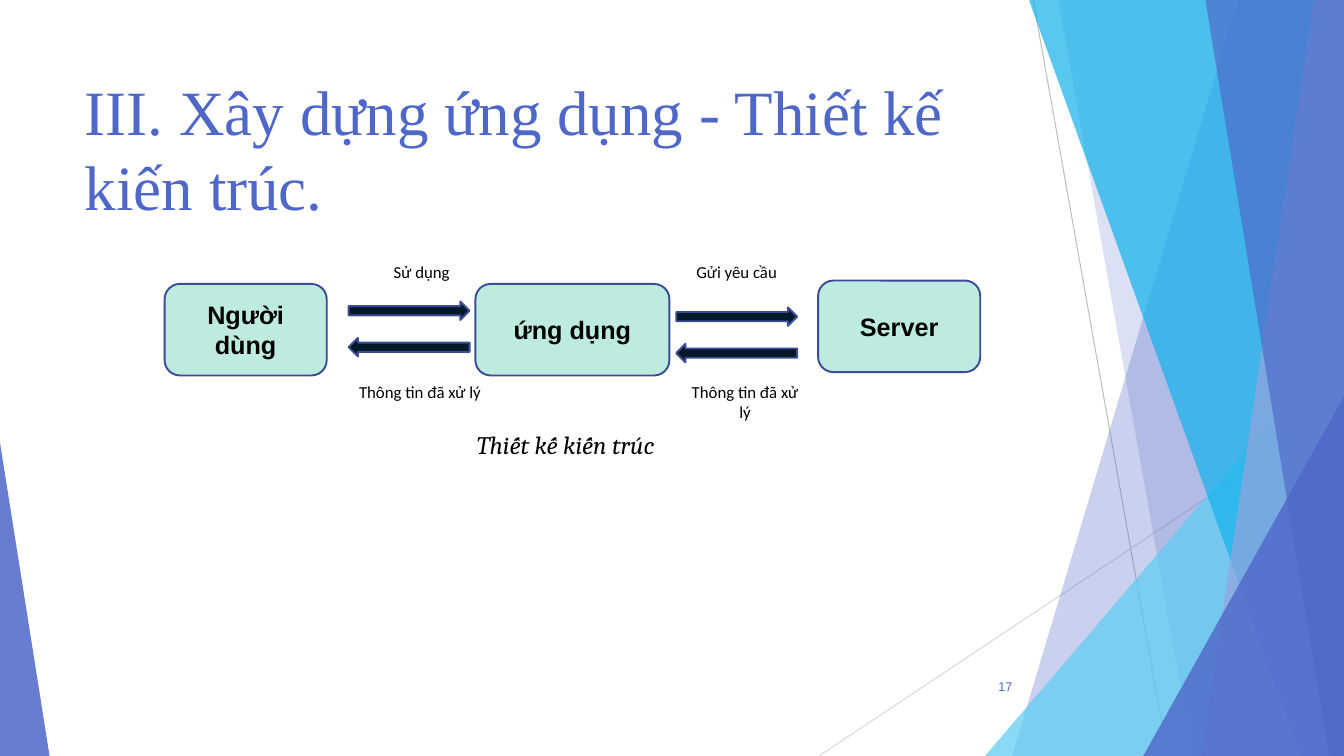
import pptx
import pptx.util
import pptx.dml.color
import pptx.enum.shapes
import pptx.enum.text
import pptx.oxml.ns
from lxml import etree

RGBColor = pptx.dml.color.RGBColor
Shape = pptx.enum.shapes.MSO_SHAPE
Align = pptx.enum.text.PP_ALIGN
Anchor = pptx.enum.text.MSO_ANCHOR

INDIGO = RGBColor(0x4E, 0x67, 0xC8)
LAVENDER = RGBColor(0x95, 0xA4, 0xDE)
SKY = RGBColor(0x5E, 0xCC, 0xF3)
CYAN = RGBColor(0x12, 0xB2, 0xEB)
MINT = RGBColor(0xBE, 0xEB, 0xDF)
NAVY = RGBColor(0x3A, 0x4C, 0x94)
MIDNIGHT = RGBColor(0x03, 0x18, 0x28)
BLACK = RGBColor(0, 0, 0)
GREY = RGBColor(0xBF, 0xBF, 0xBF)
LIGHT_GREY = RGBColor(0xD9, 0xD9, 0xD9)

COLUMNS, ROWS = 80, 45


class SlideBuilder:
    outline_width = 1.35

    def __init__(self, presentation):
        self.column = presentation.slide_width / COLUMNS
        self.row = presentation.slide_height / ROWS
        self.slide = presentation.slides.add_slide(presentation.slide_layouts[5])
        self.shapes = self.slide.shapes

    def place(self, left, top, width, height):
        return (round(left * self.column), round(top * self.row),
                round(width * self.column), round(height * self.row))

    def paint(self, shape, color, opacity=100, outline=None):
        shape.shadow.inherit = False
        shape.fill.solid()
        shape.fill.fore_color.rgb = color
        if opacity < 100:
            color_node = shape._element.spPr.find(
                pptx.oxml.ns.qn("a:solidFill") + "/" + pptx.oxml.ns.qn("a:srgbClr"))
            alpha = etree.SubElement(color_node, pptx.oxml.ns.qn("a:alpha"))
            alpha.set("val", str(opacity * 1000))
        if outline is None:
            shape.line.fill.background()
        else:
            shape.line.color.rgb = outline
            shape.line.width = pptx.util.Pt(self.outline_width)

    def fill_text(self, shape, text, size, font, color=BLACK, align=Align.CENTER,
                  anchor=Anchor.TOP, bold=False, italic=False, wrap=True):
        frame = shape.text_frame
        frame.word_wrap = wrap
        frame.vertical_anchor = anchor
        paragraph = frame.paragraphs[0]
        paragraph.alignment = align
        run = paragraph.add_run()
        run.text = text
        run.font.size = pptx.util.Pt(size)
        run.font.name = font
        run.font.color.rgb = color
        run.font.bold = bold
        run.font.italic = italic
        return paragraph

    def title(self, text, *box):
        shape = self.shapes.title
        shape.left, shape.top, shape.width, shape.height = self.place(*box)
        self.fill_text(shape, text, 45, "Times New Roman", INDIGO, Align.LEFT)

    def hairline(self, start, end, color):
        connector = self.shapes.add_connector(
            pptx.enum.shapes.MSO_CONNECTOR.STRAIGHT,
            *self.place(*start, *end))
        connector.line.color.rgb = color
        connector.line.width = pptx.util.Pt(0.75)
        etree.SubElement(connector._element.spPr, pptx.oxml.ns.qn("a:effectLst"))

    def band(self, top_edge, bottom_edge, color, opacity):
        corners = [self.place(x, y, 0, 0)[:2] for x, y in (
            (top_edge, 0), (COLUMNS, 0), (COLUMNS, ROWS), (bottom_edge, ROWS))]
        builder = self.shapes.build_freeform(*corners[0])
        builder.add_line_segments(corners[1:], close=True)
        self.paint(builder.convert_to_shape(), color, opacity)

    def wedge(self, left, top, width, apex, color, opacity):
        shape = self.shapes.add_shape(
            Shape.ISOSCELES_TRIANGLE, *self.place(left, top, width, ROWS - top))
        shape.adjustments[0] = apex
        self.paint(shape, color, opacity)

    def node(self, text, left, top, width):
        shape = self.shapes.add_shape(
            Shape.ROUNDED_RECTANGLE, *self.place(left, top, width, 5.45))
        self.paint(shape, MINT, outline=NAVY)
        self.fill_text(shape, text, 18, "Arial", anchor=Anchor.MIDDLE, bold=True)

    def arrow(self, kind, left, top):
        shape = self.shapes.add_shape(kind, *self.place(left, top, 7.2, 1.1))
        self.paint(shape, MIDNIGHT, outline=NAVY)

    def text(self, text, box, size, font, **style):
        shape = self.shapes.add_textbox(*self.place(*box))
        return self.fill_text(shape, text, size, font, **style)


def main():
    presentation = pptx.Presentation()
    presentation.slide_width = pptx.util.Inches(13.33)
    presentation.slide_height = pptx.util.Inches(7.5)
    builder = SlideBuilder(presentation)

    builder.hairline((61.5, 0), (69.5, ROWS), GREY)
    builder.hairline((COLUMNS, 24.2), (48.75, ROWS), LIGHT_GREY)
    builder.band(73.7, 60.25, INDIGO, 30)
    builder.band(63, 71, INDIGO, 20)
    builder.wedge(58.63, 20, 21.37, 1, SKY, 72)
    builder.band(61.25, 77.45, CYAN, 70)
    builder.band(78.2, 71.5, LAVENDER, 70)
    builder.band(71.75, 79.1, INDIGO, 65)
    builder.wedge(68.05, 23.6, 11.95, 1, INDIGO, 80)
    builder.wedge(0, 26.35, 2.95, 0, INDIGO, 85)

    builder.title("III. Xây dựng ứng dụng - Thiết kế kiến trúc.", 4.45, 4, 56.4, 8.65)

    for name, left, top, width in (("Người dùng", 9.8, 16.9, 9.65),
                                   ("ứng dụng", 28.3, 16.9, 11.55),
                                   ("Server", 48.7, 16.7, 9.65)):
        builder.node(name, left, top, width)

    for left, top in ((20.75, 17.95), (40.25, 18.3)):
        builder.arrow(Shape.RIGHT_ARROW, left, top)
        builder.arrow(Shape.LEFT_ARROW, left, top + 2.17)

    for label, left, top, width in (("Sử dụng", 21.5, 15.3, 7.2),
                                    ("Gửi yêu cầu", 40.25, 15.3, 7.2),
                                    ("Thông tin đã xử lý", 40.25, 22.4, 8.2),
                                    ("Thông tin đã xử lý", 20.75, 22.4, 8.5)):
        builder.text(label, (left, top, width, 3.3), 12, "Calibri")

    caption = builder.text("Thiết kế kiến trúc", (27.8, 25.25, 12.55, 2.4), 18,
                           "Cambria", align=Align.JUSTIFY, italic=True, wrap=False)
    caption.space_after = pptx.util.Pt(6)
    builder.text("17", (56.35, 39.65, 4.5, 2.4), 9, "Arial", color=INDIGO,
                 align=Align.RIGHT, anchor=Anchor.MIDDLE)

    presentation.save("out.pptx")


if __name__ == "__main__":
    main()
